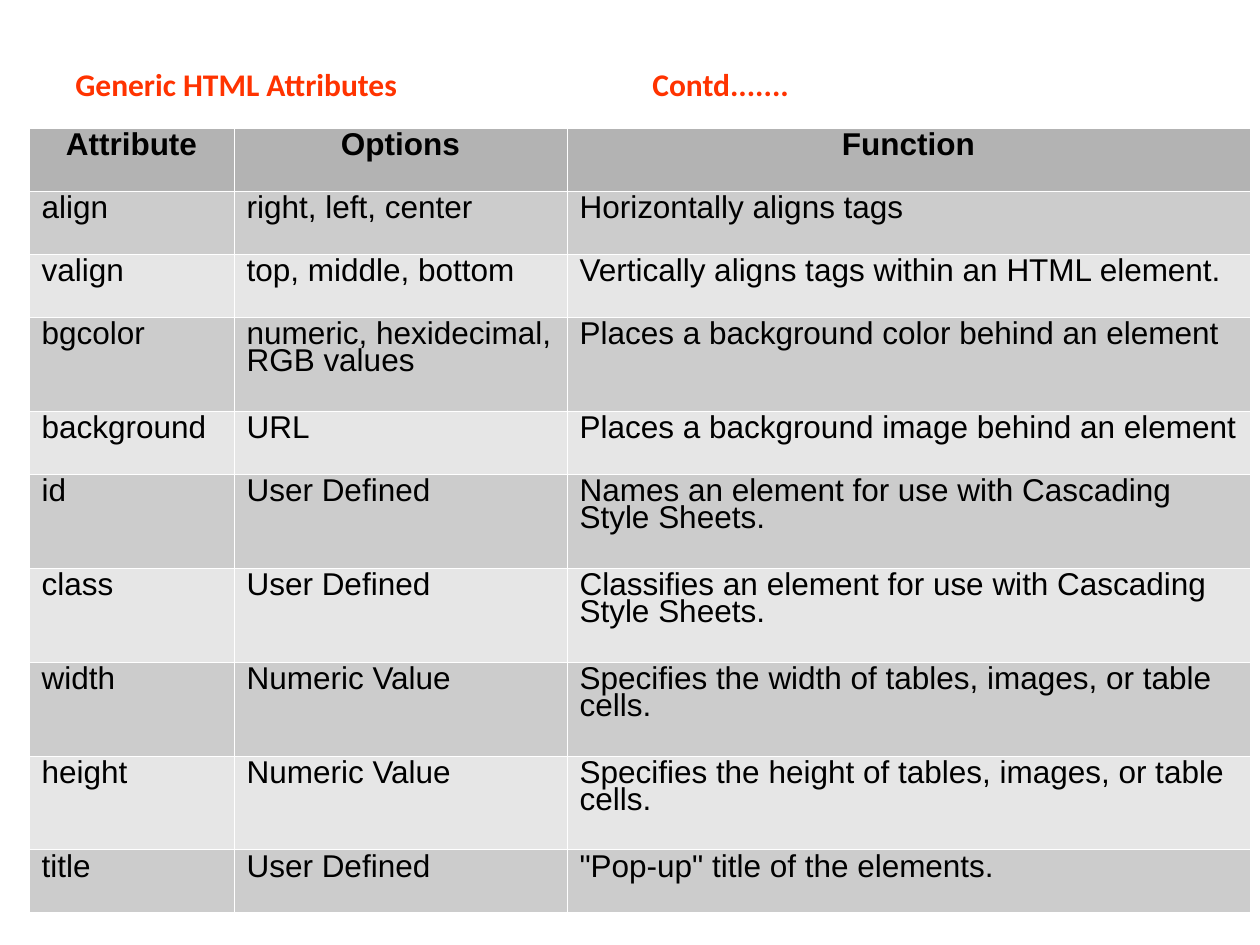
from lxml import etree
from pptx import Presentation
from pptx.dml.color import RGBColor
from pptx.enum import text
from pptx.oxml import ns
from pptx.util import Emu, Pt

PX = 914400 // 126  # EMU in one px
BORDER_WIDTH = 762  # EMU
ROW_HEIGHTS = {1: 63, 2: 94}  # by number of text lines
COLUMN_WIDTHS = (205, 333, 683)

HEADER = ("Attribute", "Options", "Function")
# Attribute, options, function, text lines
ATTRIBUTES = (
    ("align", "right, left, center", "Horizontally aligns tags", 1),
    ("valign", "top, middle, bottom", "Vertically aligns tags within an HTML element.", 1),
    ("bgcolor", "numeric, hexidecimal, RGB values",
     "Places a background color behind an element", 2),
    ("background", "URL", "Places a background image behind an element", 1),
    ("id", "User Defined", "Names an element for use with Cascading Style Sheets.", 2),
    ("class", "User Defined", "Classifies an element for use with Cascading Style Sheets.", 2),
    ("width", "Numeric Value", "Specifies the width of tables, images, or table cells.", 2),
    ("height", "Numeric Value", "Specifies the height of tables, images, or table cells.", 2),
    ("title", "User Defined", "\"Pop-up\" title of the elements.", 1),
)


def px(length):
    return Emu(length * PX)


def color(value):
    return RGBColor.from_string(value)


def write(frame, content, *, font="Arial", size=18, fill="000000", bold=False,
          align=text.PP_ALIGN.LEFT, spacing=1.0):
    """Put one formatted paragraph into a text frame and return it."""
    paragraph = frame.paragraphs[0]
    paragraph.alignment = align
    paragraph.line_spacing = spacing
    run = paragraph.add_run()
    run.text = content
    run.font.name = font
    run.font.size = Pt(size)
    run.font.bold = bold
    run.font.color.rgb = color(fill)
    return paragraph


def add_tab_stop(paragraph, position):
    tabs = etree.SubElement(paragraph._p.get_or_add_pPr(), ns.qn("a:tabLst"))
    etree.SubElement(tabs, ns.qn("a:tab"), pos=str(px(position)), algn="l")


def add_borders(cell, value):
    properties = cell._tc.get_or_add_tcPr()
    for index, side in enumerate(("lnL", "lnR", "lnT", "lnB")):
        line = etree.Element(ns.qn(f"a:{side}"), w=str(BORDER_WIDTH))
        solid = etree.SubElement(line, ns.qn("a:solidFill"))
        etree.SubElement(solid, ns.qn("a:srgbClr"), val=value)
        properties.insert(index, line)


class SlideBuilder:
    title_color = "FF3300"
    header_fill = "B3B3B3"
    row_fills = ("CCCCCC", "E6E6E6")
    border_color = "FFFFFF"

    def __init__(self, slide):
        self.slide = slide

    def title(self, content, left, top, width, height, tab):
        shape = self.slide.shapes.add_textbox(px(left), px(top), px(width), px(height))
        frame = shape.text_frame
        frame.word_wrap = True
        frame.vertical_anchor = text.MSO_ANCHOR.MIDDLE
        paragraph = write(frame, content, font="Calibri", fill=self.title_color,
                          bold=True, spacing=0.98)
        add_tab_stop(paragraph, tab)

    def cell(self, cell, content, fill, **style):
        cell.fill.solid()
        cell.fill.fore_color.rgb = color(fill)
        add_borders(cell, self.border_color)
        write(cell.text_frame, content, spacing=0.76, **style)

    def table(self, header, rows, left, top):
        heights = [ROW_HEIGHTS[1]] + [ROW_HEIGHTS[row[-1]] for row in rows]
        table = self.slide.shapes.add_table(
            len(heights), len(header), px(left), px(top),
            px(sum(COLUMN_WIDTHS)), px(sum(heights))).table
        for column, width in zip(table.columns, COLUMN_WIDTHS):
            column.width = px(width)
        for row, height in zip(table.rows, heights):
            row.height = px(height)

        for column, label in enumerate(header):
            self.cell(table.cell(0, column), label, self.header_fill,
                      bold=True, align=text.PP_ALIGN.CENTER)
        for number, (*labels, _) in enumerate(rows):
            for column, label in enumerate(labels):
                self.cell(table.cell(number + 1, column), label, self.row_fills[number % 2])


def main():
    presentation = Presentation()
    presentation.slide_width = px(1260)
    presentation.slide_height = px(945)
    builder = SlideBuilder(presentation.slides.add_slide(presentation.slide_layouts[6]))

    # Heading
    builder.title("Generic HTML Attributes\tContd.......", 63, 49, 1068, 72, tab=577)

    # Attribute table
    builder.table(HEADER, ATTRIBUTES, 29, 128)

    presentation.save("out.pptx")


if __name__ == "__main__":
    main()
